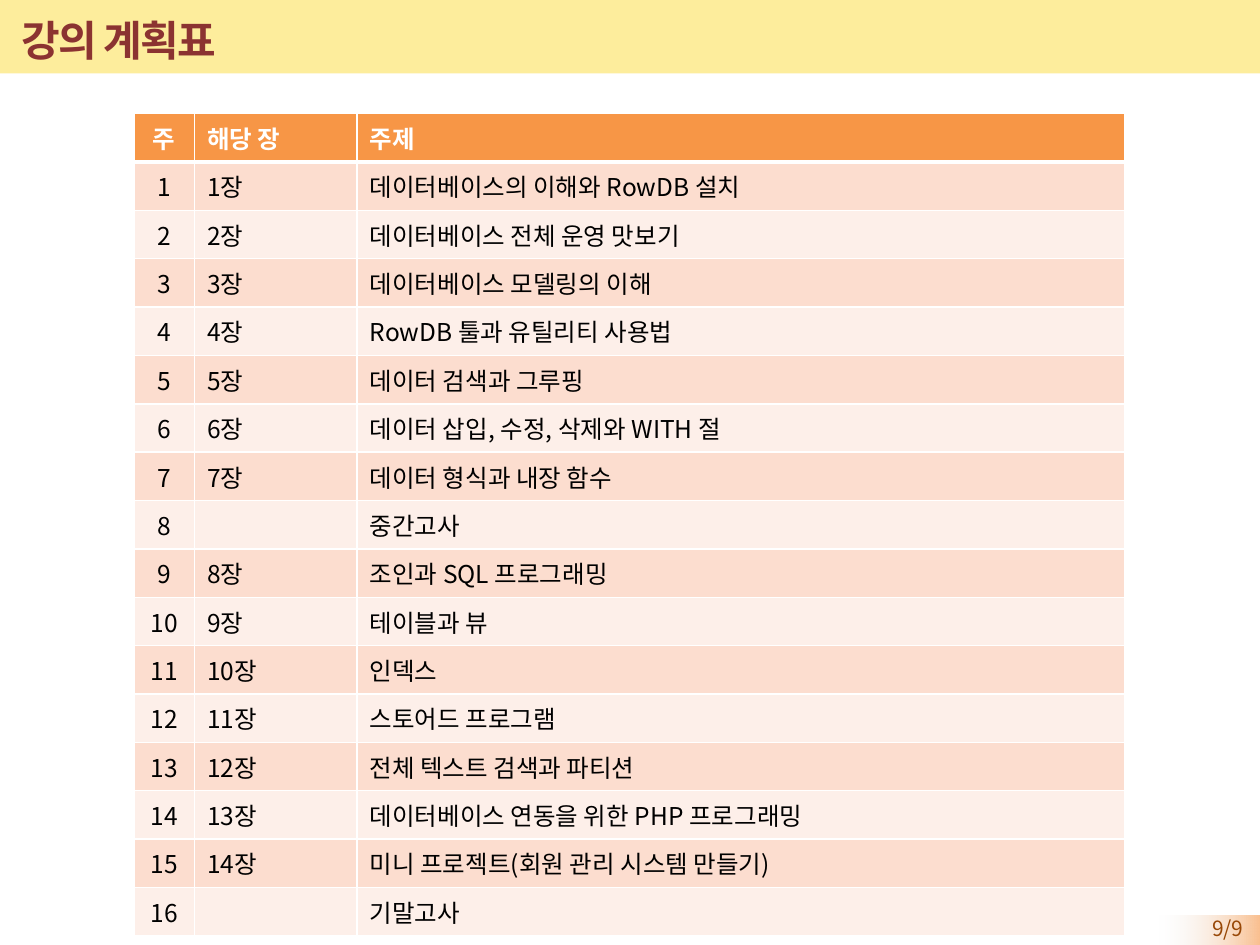
from lxml import etree
from pptx import Presentation
from pptx.dml.color import RGBColor
from pptx.enum.shapes import MSO_SHAPE
from pptx.enum.text import MSO_ANCHOR, PP_ALIGN
from pptx.oxml.ns import qn
from pptx.util import Cm, Pt

RECT = MSO_SHAPE.RECTANGLE
MIDDLE, TOP = MSO_ANCHOR.MIDDLE, MSO_ANCHOR.TOP
LEFT, CENTER, RIGHT = PP_ALIGN.LEFT, PP_ALIGN.CENTER, PP_ALIGN.RIGHT

FONT = "Noto Sans CJK KR"
COLORS = {
    "band": "FDED9C",
    "title": "8B3331",
    "page": "984807",
    "corner": "FAC090",
    "corner_end": "F2F2F2",
    "header": "F79646",
    "odd": "FCDDCF",
    "even": "FDEFE9",
    "white": "FFFFFF",
    "black": "000000",
}

HEADER = ["주", "해당 장", "주제"]
EXAMS = {"중간고사", "기말고사"}
TOPICS = [
    "데이터베이스의 이해와 RowDB 설치",
    "데이터베이스 전체 운영 맛보기",
    "데이터베이스 모델링의 이해",
    "RowDB 툴과 유틸리티 사용법",
    "데이터 검색과 그루핑",
    "데이터 삽입, 수정, 삭제와 WITH 절",
    "데이터 형식과 내장 함수",
    "중간고사",
    "조인과 SQL 프로그래밍",
    "테이블과 뷰",
    "인덱스",
    "스토어드 프로그램",
    "전체 텍스트 검색과 파티션",
    "데이터베이스 연동을 위한 PHP 프로그래밍",
    "미니 프로젝트(회원 관리 시스템 만들기)",
    "기말고사",
]


def rgb(name):
    return RGBColor.from_string(COLORS[name])


def write_text(tf, text, size=14, color="black", bold=False, align=LEFT, spacing=None):
    p = tf.paragraphs[0]
    p.alignment = align
    if not text:
        etree.SubElement(p._p, qn("a:endParaRPr"), sz=str(size * 100))
        return
    r = p.add_run()
    r.text = text
    r.font.size = Pt(size)
    r.font.bold = bold
    r.font.name = FONT
    r.font.color.rgb = rgb(color)
    rPr = r._r.get_or_add_rPr()
    etree.SubElement(rPr, qn("a:ea"), typeface=FONT)
    if spacing is not None:
        rPr.set("spc", str(round(spacing * 100)))


def add_border(cell, side, width):
    tcPr = cell._tc.get_or_add_tcPr()
    ln = etree.SubElement(tcPr, qn(f"a:ln{side}"), w=str(Pt(width)))
    fill = etree.SubElement(ln, qn("a:solidFill"))
    etree.SubElement(fill, qn("a:srgbClr"), val=COLORS["white"])


class SlideBuilder:
    def __init__(self, slide):
        self.s = slide

    def rectangle(self, left, top, width, height, color=None):
        sp = self.s.shapes.add_shape(RECT, Cm(left), Cm(top), Cm(width), Cm(height))
        sp.shadow.inherit = False
        sp.line.fill.background()
        if color:
            sp.fill.solid()
            sp.fill.fore_color.rgb = rgb(color)
        return sp

    def fading_rectangle(self, left, top, width, height, start, end):
        sp = self.rectangle(left, top, width, height)
        sp.fill.gradient()
        sp.fill.gradient_angle = 180
        for stop, position, color in zip(sp.fill.gradient_stops, (0, 1), (start, end)):
            stop.position = position
            stop.color.rgb = rgb(color)
        end_color = sp._element.spPr.findall(".//" + qn("a:srgbClr"))[-1]
        etree.SubElement(end_color, qn("a:alpha"), val="0")

    def text(self, left, top, width, height, text, **style):
        sp = self.s.shapes.add_textbox(Cm(left), Cm(top), Cm(width), Cm(height))
        tf = sp.text_frame
        tf.word_wrap = True
        tf.vertical_anchor = TOP
        write_text(tf, text, **style)

    def title(self, left, top, width, height, text, **style):
        sp = self.s.shapes.title
        sp.left, sp.top, sp.width, sp.height = Cm(left), Cm(top), Cm(width), Cm(height)
        sp.text_frame.vertical_anchor = MIDDLE
        write_text(sp.text_frame, text, **style)
        self.s.shapes._spTree.append(sp._element)

    def table(self, left, top, widths, row_height, rows):
        frame = self.s.shapes.add_table(
            len(rows), len(widths), Cm(left), Cm(top),
            Cm(sum(widths)), Cm(row_height * len(rows)))
        table = frame.table
        for column, width in zip(table.columns, widths):
            column.width = Cm(width)
        for i, values in enumerate(rows):
            table.rows[i].height = Cm(row_height)
            fill = "header" if i == 0 else ("even", "odd")[i % 2]
            for j, value in enumerate(values):
                cell = table.cell(i, j)
                for side in "LRTB":
                    thick = (i, side) in ((0, "B"), (1, "T"))
                    add_border(cell, side, 3 if thick else 1)
                cell.fill.solid()
                cell.fill.fore_color.rgb = rgb(fill)
                write_text(cell.text_frame, value, bold=i == 0,
                           color="white" if i == 0 else "black",
                           align=CENTER if j == 0 else LEFT)


def schedule():
    rows = [HEADER]
    chapter = 0
    for week, topic in enumerate(TOPICS, 1):
        label = ""
        if topic not in EXAMS:
            chapter += 1
            label = f"{chapter}장"
        rows.append([str(week), label, topic])
    return rows


def main():
    prs = Presentation()
    prs.slide_width, prs.slide_height = Cm(25.4), Cm(19.05)
    page = SlideBuilder(prs.slides.add_slide(prs.slide_layouts[5]))
    page.fading_rectangle(23.37, 18.45, 2.03, 0.6, "corner", "corner_end")
    page.rectangle(0, -0.05, 25.4, 1.53, "band")
    page.text(22.98, 18.33, 2.34, 0.6, "9/9", size=12, color="page", align=RIGHT)
    page.title(0.18, 0.15, 21.61, 1.32, "강의 계획표",
               size=24, color="title", bold=True, spacing=-1)
    page.table(2.7, 2.29, [1.22, 3.28, 15.48], 0.9, schedule())
    prs.save("out.pptx")


if __name__ == "__main__":
    main()
